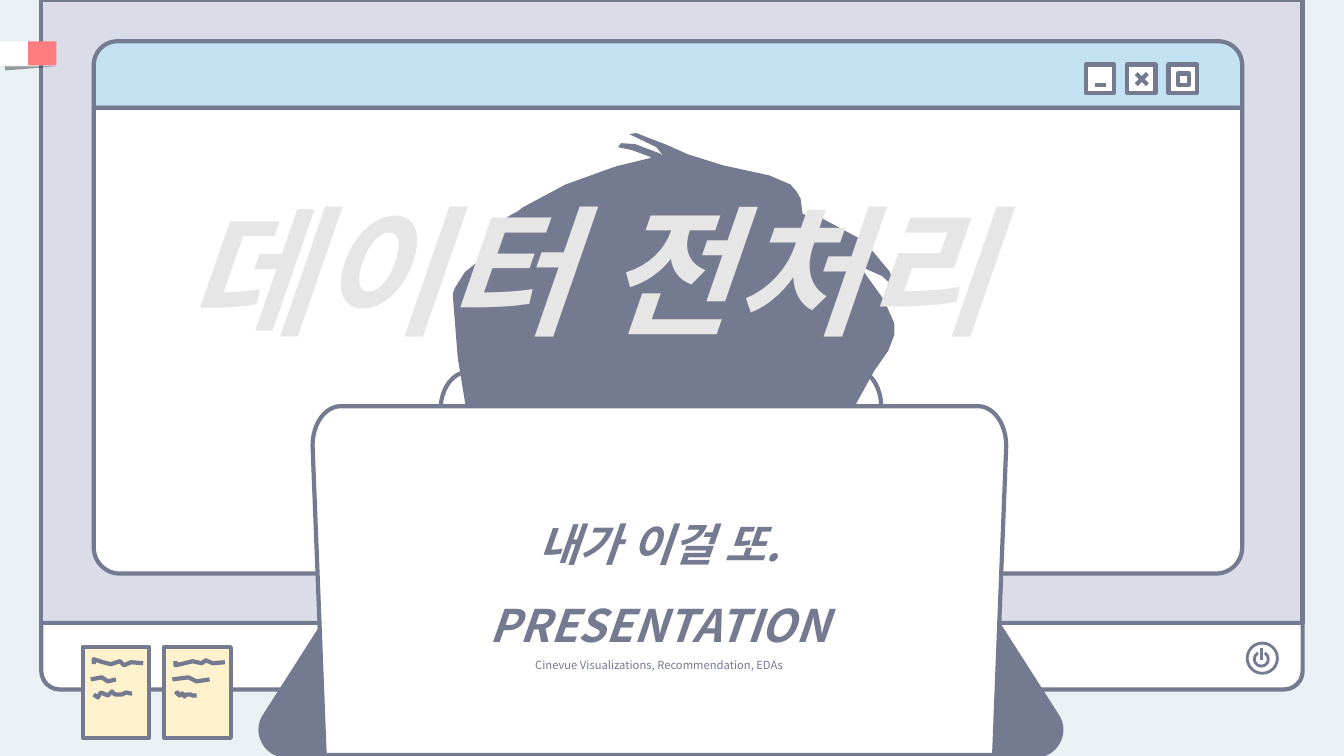
import math
from dataclasses import dataclass

from lxml import etree
from pptx import Presentation, util as u
from pptx.dml.color import RGBColor
from pptx.enum import shapes as s, text as t
from pptx.oxml.ns import qn


@dataclass(frozen=True)
class Theme:
    font: str = "Noto Sans CJK KR"
    backdrop: str = "E9F1F4"
    ink: str = "747A90"
    bezel: str = "DADCE8"
    sky: str = "C2E1F3"
    note: str = "FFF2CC"
    coral: str = "FF7C80"
    white: str = "FFFFFF"
    black: str = "000000"
    ghost: str = "E7E6E6"
    title: int = 100
    heading: int = 32
    caption: int = 8
    outline: float = 3
    fine: float = 2
    sleeve: float = 39.75


THEME = Theme()
WIDTH, HEIGHT = 13.33, 7.5
KIND = s.MSO_SHAPE

TITLE = "데이터 전처리"
HEADINGS = ["내가 이걸 또.", "PRESENTATION"]
CAPTION = "Cinevue Visualizations, Recommendation, EDAs"

# Handwriting on each sticky note, measured from the note's top left corner
NOTES = [
    [[(.11, .17), (.11, .12), (.2, .15), (.28, .17), (.37, .14), (.41, .18), (.48, .15), (.6, .16)],
     [(.08, .32), (.19, .3), (.25, .34), (.33, .32)],
     [(.11, .47), (.15, .5), (.18, .45), (.25, .48), (.29, .44), (.32, .47), (.39, .47),
      (.43, .45), (.47, .46), (.49, .46)]],
    [[(.11, .14), (.11, .18), (.2, .16), (.28, .14), (.37, .16), (.41, .13), (.48, .16), (.6, .15)],
     [(.08, .32), (.24, .3), (.32, .34), (.45, .32)],
     [(.11, .47), (.13, .45), (.15, .48), (.18, .46), (.2, .49), (.22, .47), (.26, .47),
      (.28, .48), (.32, .48)]],
]
WINDOW_BUTTONS = ["minimise", "close", "restore"]
HAIR = [
    (4.86, 4.94), (4.71, 4.59), (4.63, 4.1), (4.54, 3.55), (4.49, 2.92), (4.51, 2.86), (4.61, 2.7),
    (4.82, 2.53), (4.91, 2.51), (4.86, 2.4), (4.89, 2.25), (5.07, 2.13), (5.13, 2.1), (5.18, 2.06),
    (5.61, 1.83), (6.11, 1.65), (6.44, 1.57), (6.46, 1.56), (6.27, 1.49), (6.13, 1.46),
    (6.16, 1.42), (6.3, 1.43), (6.54, 1.52), (6.58, 1.55), (6.51, 1.46), (6.24, 1.33),
    (6.31, 1.32), (6.62, 1.44), (6.82, 1.53), (7.17, 1.64), (7.63, 1.74), (7.84, 1.83), (7.9, 1.9),
    (7.94, 1.97), (7.96, 2.12), (8.01, 2.14), (8.16, 2.17), (8.57, 2.39), (8.82, 2.69),
    (8.91, 2.89), (8.75, 2.74), (8.55, 2.65), (8.57, 2.7), (8.77, 2.98), (8.87, 3.21),
    (8.87, 3.32), (8.81, 3.48), (8.67, 3.68), (8.45, 4.08), (8.33, 4.57), (8.17, 5.01),
]

deck = Presentation()
deck.slide_width, deck.slide_height = u.Inches(WIDTH), u.Inches(HEIGHT)
slide = deck.slides.add_slide(deck.slide_layouts[6])
slide.background.fill.solid()
slide.background.fill.fore_color.rgb = RGBColor.from_string(THEME.backdrop)


def paint(shape, fill=None, weight=None, opacity=None):
    shape.shadow.inherit = False
    if fill:
        shape.fill.solid()
        shape.fill.fore_color.rgb = RGBColor.from_string(fill)
    else:
        shape.fill.background()
    if opacity:
        color = shape.fill._xPr.find(f"{qn('a:solidFill')}/{qn('a:srgbClr')}")
        etree.SubElement(color, qn("a:alpha"), val=str(opacity * 1000))
    ink_line(shape, weight)
    return shape


def ink_line(shape, weight):
    """Ink outline with rounded joins, or none without a weight."""
    if not weight:
        shape.line.fill.background()
        return
    shape.line.color.rgb = RGBColor.from_string(THEME.ink)
    shape.line.width = u.Pt(weight)
    etree.SubElement(shape.line._get_or_add_ln(), qn("a:round"))


def block(kind, left, top, width, height, fill=None, weight=THEME.outline, adjust=(),
          flip=None, opacity=None):
    shape = slide.shapes.add_shape(kind, *map(u.Inches, (left, top, width, height)))
    for index, value in enumerate(adjust):
        shape.adjustments[index] = value
    if flip:
        shape._element.spPr.find(qn("a:xfrm")).set(flip, "1")
    return paint(shape, fill, weight, opacity)


def stroke(x1, y1, x2, y2, weight=THEME.outline):
    line = slide.shapes.add_connector(s.MSO_CONNECTOR.STRAIGHT, *map(u.Inches, (x1, y1, x2, y2)))
    ink_line(line, weight)
    etree.SubElement(line._element.spPr, qn("a:effectLst"))


def outline(points, fill=None, weight=None, close=True):
    corners = [(u.Inches(x), u.Inches(y)) for x, y in points]
    builder = slide.shapes.build_freeform(*corners[0], scale=1.0)
    builder.add_line_segments(corners[1:], close=close)
    return paint(builder.convert_to_shape(), fill, weight)


def write(paragraph, words, size, color, strong=True, align=None, spacing=None):
    paragraph.alignment, paragraph.line_spacing = align, spacing
    run = paragraph.add_run()
    run.text = words
    font = run.font
    font.name, font.size, font.bold, font.italic = THEME.font, u.Pt(size), strong, strong
    font.color.rgb = RGBColor.from_string(color)
    etree.SubElement(run._r.get_or_add_rPr(), qn("a:ea"), typeface=THEME.font)


def draw_monitor():
    left, width, chin = .41, 12.51, 6.18
    block(KIND.RECTANGLE, left, 0, width, chin, THEME.bezel)
    block(KIND.ROUND_2_SAME_RECTANGLE, left, chin, width, .66, THEME.white, adjust=(0, .276))
    block(KIND.OVAL, 12.37, 6.38, .3, .3, THEME.white, THEME.fine)
    block(KIND.ARC, 12.44, 6.47, .14, .14, weight=THEME.fine, adjust=(179.59, 145.3))
    stroke(12.51, 6.43, 12.51, 6.55, THEME.fine)


def draw_notes():
    top, pitch = 6.42, .81
    for column, lines in enumerate(NOTES):
        left = .82 + column * pitch
        block(KIND.RECTANGLE, left, top, .66, .9, THEME.note)
        for line in lines:
            outline([(left + x, top + y) for x, y in line], weight=THEME.outline, close=False)


def draw_tab():
    side, top, height = .28, .41, .24
    for column, color in enumerate([THEME.white, THEME.coral]):
        block(KIND.RECTANGLE, column * side, top, side, height, color, None)
    block(KIND.RIGHT_TRIANGLE, .05, .66, .5, .04, THEME.black, None, flip="flipV", opacity=37)


def draw_window():
    left, top, width, bar = .93, .41, 11.39, .66
    block(KIND.ROUND_2_SAME_RECTANGLE, left, top, width, bar, THEME.sky, adjust=(.356, 0))
    block(KIND.ROUND_2_SAME_RECTANGLE, left, top + bar, width, 4.62, THEME.white,
          adjust=(0, .056))
    side, pitch, y = .28, .41, .64
    for column, button in enumerate(WINDOW_BUTTONS):
        x = 10.77 + column * pitch
        block(KIND.RECTANGLE, x, y, side, side, THEME.white)
        near, far = .09, .2
        if button == "minimise":
            stroke(x + near, y + far, x + far, y + far)
        elif button == "close":
            stroke(x + near, y + near, x + far, y + far)
            stroke(x + near, y + far, x + far, y + near)
        else:
            block(KIND.RECTANGLE, x + near, y + near, far - near, far - near, THEME.white)


def draw_person():
    for left, top in [(4.37, 3.69), (8.2, 3.66)]:
        block(KIND.OVAL, left, top, .54, .75, THEME.white)
    outline(HAIR, THEME.ink)
    for left, flip in [(9.58, None), (2.84, "flipH")]:
        block(KIND.RIGHT_TRIANGLE, left, 6.16, .69, 1.08, THEME.ink, THEME.sleeve, flip=flip)


def draw_laptop():
    left, right, top, bottom, taper = 3.1, 9.98, 4.03, 7.49, .12
    across, down, steps = .28, .39, 12
    arc = [(across * (1 - math.cos(a)), down * (1 - math.sin(a)))
           for a in (math.pi / 2 * step / steps for step in range(steps + 1))]
    lid = outline(
        [(left + taper, bottom)] + [(left + x, top + y) for x, y in arc]
        + [(right - x, top + y) for x, y in reversed(arc)] + [(right - taper, bottom)],
        THEME.white, THEME.outline)
    frame = lid.text_frame
    frame.word_wrap, frame.vertical_anchor = True, t.MSO_ANCHOR.MIDDLE
    lines = [(words, THEME.heading, True) for words in HEADINGS]
    lines.append((CAPTION, THEME.caption, False))
    for index, (words, size, strong) in enumerate(lines):
        paragraph = frame.add_paragraph() if index else frame.paragraphs[0]
        write(paragraph, words, size, THEME.ink, strong, t.PP_ALIGN.CENTER, 1.5)


def draw_title():
    frame = slide.shapes.add_textbox(*map(u.Inches, (1.74, 1.78, 9.04, 1.78))).text_frame
    frame.word_wrap = True
    write(frame.paragraphs[0], TITLE, THEME.title, THEME.ghost)


for draw in (draw_monitor, draw_notes, draw_tab, draw_window, draw_person, draw_laptop, draw_title):
    draw()
deck.save("out.pptx")
